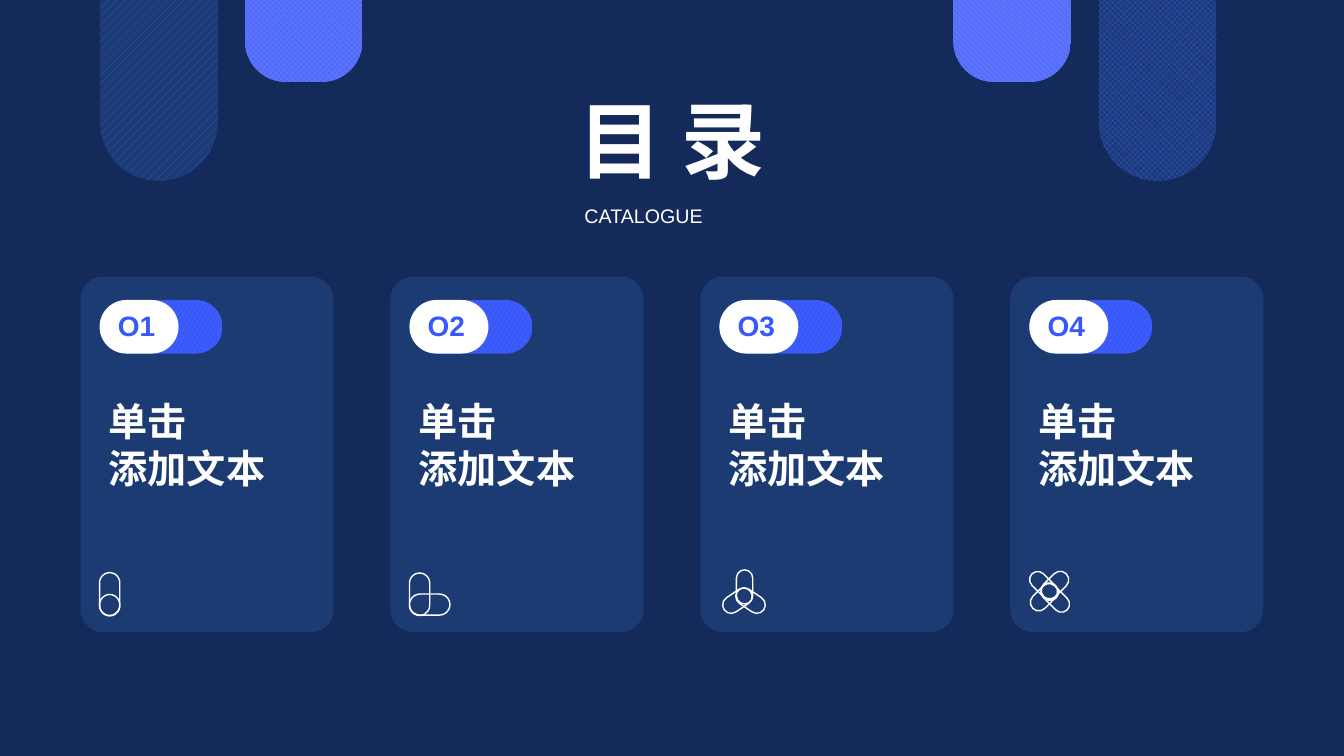
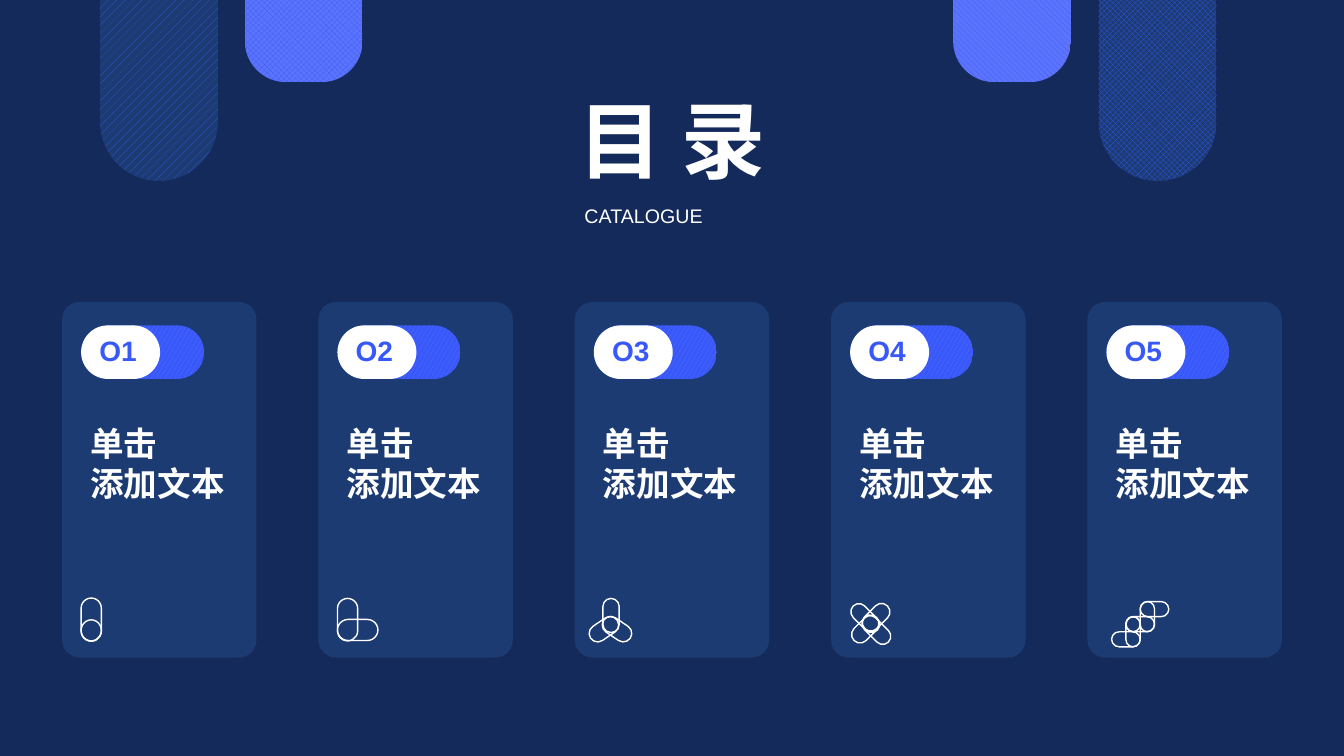
from dataclasses import dataclass
from typing import NamedTuple, Optional

from pptx import Presentation
from pptx.dml.color import RGBColor
from pptx.dml.fill import FillFormat
from pptx.enum.dml import MSO_PATTERN_TYPE as Pattern
from pptx.enum.lang import MSO_LANGUAGE_ID as Language
from pptx.enum.shapes import MSO_AUTO_SHAPE_TYPE as ShapeType
from pptx.enum.text import MSO_VERTICAL_ANCHOR as Anchor, PP_PARAGRAPH_ALIGNMENT as Align
from pptx.shapes.autoshape import Shape
from pptx.shapes.shapetree import GroupShapes, SlideShapes
from pptx.slide import Slide
from pptx.util import Cm, Pt

NAVY = "142A5B"
CARD_BLUE = "1C3B72"
BRIGHT_BLUE = "3858FA"
LIGHT_BLUE = "5C73FB"
WHITE = "FFFFFF"
FONT = "Arial"

SLIDE_WIDTH = 33.87
SLIDE_HEIGHT = 19.05
CARD_HEIGHT = 8.96
TAB_WIDTH = 2.97


class Box(NamedTuple):
    left: float
    top: float
    width: float
    height: float

    def moved(self, left: float, top: float) -> "Box":
        return self._replace(left=self.left + left, top=self.top + top)


class Tab(NamedTuple):
    left: float
    height: float
    pattern: Pattern
    background: str


class Stroke(NamedTuple):
    box: Box
    rotation: float = 0
    kind: ShapeType = ShapeType.ROUNDED_RECTANGLE


class Icon(NamedTuple):
    left: float
    top: float
    strokes: tuple[Stroke, ...]


@dataclass(frozen=True)
class TextStyle:
    size: float
    color: str = WHITE
    bold: bool = True
    align: Align = Align.LEFT
    anchor: Anchor = Anchor.TOP
    line_spacing: Optional[float] = None


@dataclass(frozen=True)
class CardRow:
    top: float
    card_width: float
    pitch: float
    heading_width: float
    heading_size: float
    icons: tuple[Icon, ...]


TABS = (
    Tab(27.69, 4.56, Pattern.OUTLINED_DIAMOND, CARD_BLUE),
    Tab(2.52, 4.56, Pattern.DASHED_UPWARD_DIAGONAL, CARD_BLUE),
    Tab(6.17, 2.07, Pattern.SOLID_DIAMOND, LIGHT_BLUE),
    Tab(24.02, 2.07, Pattern.WIDE_DOWNWARD_DIAGONAL, LIGHT_BLUE),
)

SINGLE = (
    Stroke(Box(0, 0, 0.51, 1.09)),
    Stroke(Box(0, 0.55, 0.51, 0.53), kind=ShapeType.OVAL),
)
CORNER = (
    Stroke(Box(0, 0.53, 1.02, 0.53)),
    Stroke(Box(0, 0, 0.51, 1.07)),
)
TRIPLE = (
    Stroke(Box(0.33, 0.56, 0.81, 0.43), 34),
    Stroke(Box(0, 0.56, 0.81, 0.43), 326),
    Stroke(Box(0.38, 0, 0.41, 0.86)),
)
CROSS = (
    Stroke(Box(0.03, 0.3, 0.81, 0.43), 315),
    Stroke(Box(0.3, 0, 0.81, 0.43), 315),
    Stroke(Box(0.28, 0.33, 0.86, 0.41), 45),
    Stroke(Box(0, 0.03, 0.86, 0.41), 45),
    Stroke(Box(0.36, 0.15, 0.41, 0.43), 315, ShapeType.OVAL),
)
STAIRS = (
    Stroke(Box(0.72, 0, 0.72, 0.38)),
    Stroke(Box(0.72, 0, 0.36, 0.76)),
    Stroke(Box(0.36, 0.38, 0.72, 0.38)),
    Stroke(Box(0, 0.76, 0.72, 0.38)),
    Stroke(Box(0.36, 0.38, 0.36, 0.76)),
    Stroke(Box(0.36, 0.38, 0.36, 0.38), kind=ShapeType.OVAL),
)

SHARED_ICONS = (Icon(0.48, 7.46, SINGLE), Icon(0.48, 7.47, CORNER))
ROWS = (
    CardRow(6.97, 6.38, 7.81, 5.46, 28, SHARED_ICONS + (
        Icon(0.53, 7.39, TRIPLE), Icon(0.42, 7.56, CROSS))),
    CardRow(7.61, 4.9, 6.46, 4.17, 24, SHARED_ICONS + (
        Icon(0.33, 7.47, TRIPLE), Icon(0.43, 7.73, CROSS), Icon(0.61, 7.55, STAIRS))),
)

TITLE_STYLE = TextStyle(60, align=Align.CENTER, anchor=Anchor.MIDDLE, line_spacing=1.2)
SUBTITLE_STYLE = TextStyle(14, bold=False, align=Align.JUSTIFY,
                           anchor=Anchor.MIDDLE, line_spacing=1.2)
NUMBER_STYLE = TextStyle(20, BRIGHT_BLUE)

Shapes = SlideShapes | GroupShapes


def rgb(color: str) -> RGBColor:
    return RGBColor.from_string(color)


def fill_solid(fill: FillFormat, color: str) -> None:
    fill.solid()
    fill.fore_color.rgb = rgb(color)


def fill_pattern(fill: FillFormat, pattern: Pattern, foreground: str, background: str) -> None:
    fill.patterned()
    fill.pattern = pattern
    fill.fore_color.rgb = rgb(foreground)
    fill.back_color.rgb = rgb(background)


def add_plain_shape(shapes: Shapes, kind: ShapeType, box: Box, *adjustments: float) -> Shape:
    shape = shapes.add_shape(kind, *map(Cm, box))
    shape.shadow.inherit = False
    shape.line.fill.background()
    for index, value in enumerate(adjustments):
        shape.adjustments[index] = value
    return shape


def add_text(shapes: Shapes, box: Box, text: str, style: TextStyle) -> None:
    frame = shapes.add_textbox(*map(Cm, box)).text_frame
    frame.word_wrap = True
    frame.vertical_anchor = style.anchor
    frame.text = text
    for paragraph in frame.paragraphs:
        paragraph.alignment = style.align
        paragraph.line_spacing = style.line_spacing
        for run in paragraph.runs:
            run.font.name = FONT
            run.font.size = Pt(style.size)
            run.font.bold = style.bold
            run.font.color.rgb = rgb(style.color)
            run.font.language_id = Language.SIMPLIFIED_CHINESE


def add_tabs(slide: Slide) -> None:
    for tab in TABS:
        shape = add_plain_shape(slide.shapes, ShapeType.ROUND_2_SAME_RECTANGLE,
                                Box(tab.left, 0, TAB_WIDTH, tab.height), 0, 0.5)
        fill_pattern(shape.fill, tab.pattern, BRIGHT_BLUE, tab.background)


def add_badge(slide: Slide, left: float, top: float, label: str) -> None:
    shapes = slide.shapes.add_group_shape().shapes
    back = add_plain_shape(shapes, ShapeType.ROUNDED_RECTANGLE, Box(left, top, 3.1, 1.35), 0.5)
    fill_pattern(back.fill, Pattern.LARGE_CONFETTI, LIGHT_BLUE, BRIGHT_BLUE)
    front = add_plain_shape(shapes, ShapeType.ROUNDED_RECTANGLE, Box(left, top, 1.99, 1.35), 0.5)
    fill_solid(front.fill, WHITE)
    add_text(shapes, Box(left + 0.21, top + 0.08, 1.57, 1.09), label, NUMBER_STYLE)


def add_icon(slide: Slide, left: float, top: float, strokes: tuple[Stroke, ...]) -> None:
    shapes = slide.shapes.add_group_shape().shapes
    for stroke in strokes:
        rounding = () if stroke.kind == ShapeType.OVAL else (0.5,)
        shape = add_plain_shape(shapes, stroke.kind, stroke.box.moved(left, top), *rounding)
        shape.rotation = stroke.rotation
        shape.fill.background()
        fill_solid(shape.line.fill, WHITE)
        shape.line.width = Pt(1)


def add_card_row(slide: Slide, row: CardRow) -> None:
    row_width = (len(row.icons) - 1) * row.pitch + row.card_width
    first_left = (SLIDE_WIDTH - row_width) / 2
    heading_style = TextStyle(row.heading_size)
    for index, icon in enumerate(row.icons):
        left = first_left + index * row.pitch
        card = add_plain_shape(slide.shapes, ShapeType.ROUNDED_RECTANGLE,
                               Box(left, row.top, row.card_width, CARD_HEIGHT), 0.09)
        fill_solid(card.fill, CARD_BLUE)
        add_text(slide.shapes, Box(left + 0.46, row.top + 2.91, row.heading_width, 3.76),
                 "单击\n添加文本", heading_style)
        add_badge(slide, left + 0.48, row.top + 0.59, f"O{index + 1}")
        add_icon(slide, left + icon.left, row.top + icon.top, icon.strokes)


def add_title(slide: Slide) -> None:
    add_text(slide.shapes, Box(14.48, 4.95, 4.98, 0.84), "CATALOGUE", SUBTITLE_STYLE)
    add_text(slide.shapes, Box(13.69, 1.83, 6.5, 2.84), "目 录", TITLE_STYLE)


def main() -> None:
    presentation = Presentation()
    presentation.slide_width = Cm(SLIDE_WIDTH)
    presentation.slide_height = Cm(SLIDE_HEIGHT)
    fill_solid(presentation.slide_master.background.fill, NAVY)
    blank_layout = presentation.slide_layouts[6]
    for row in ROWS:
        slide = presentation.slides.add_slide(blank_layout)
        add_tabs(slide)
        add_card_row(slide, row)
        add_title(slide)
    presentation.save("out.pptx")


if __name__ == "__main__":
    main()
